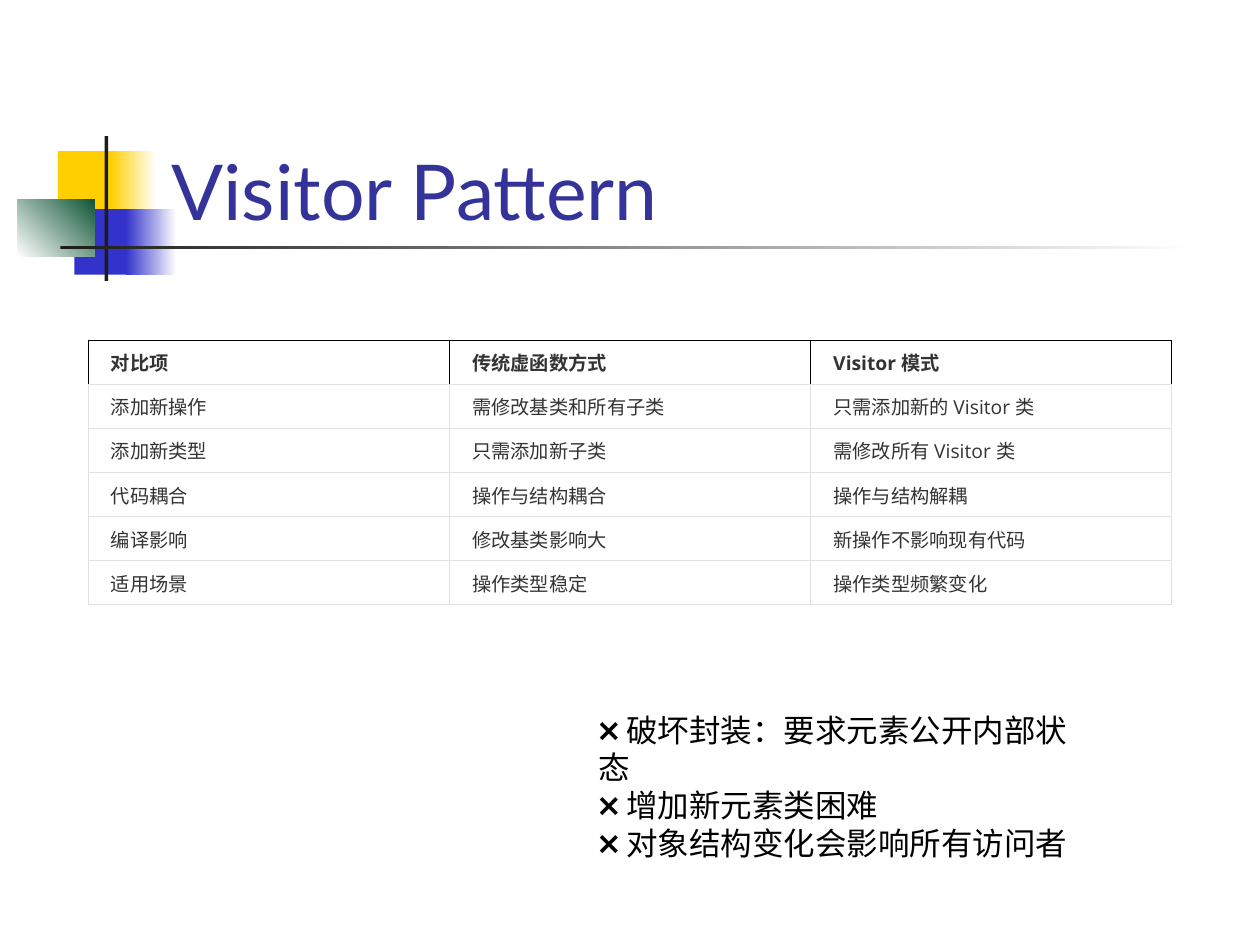
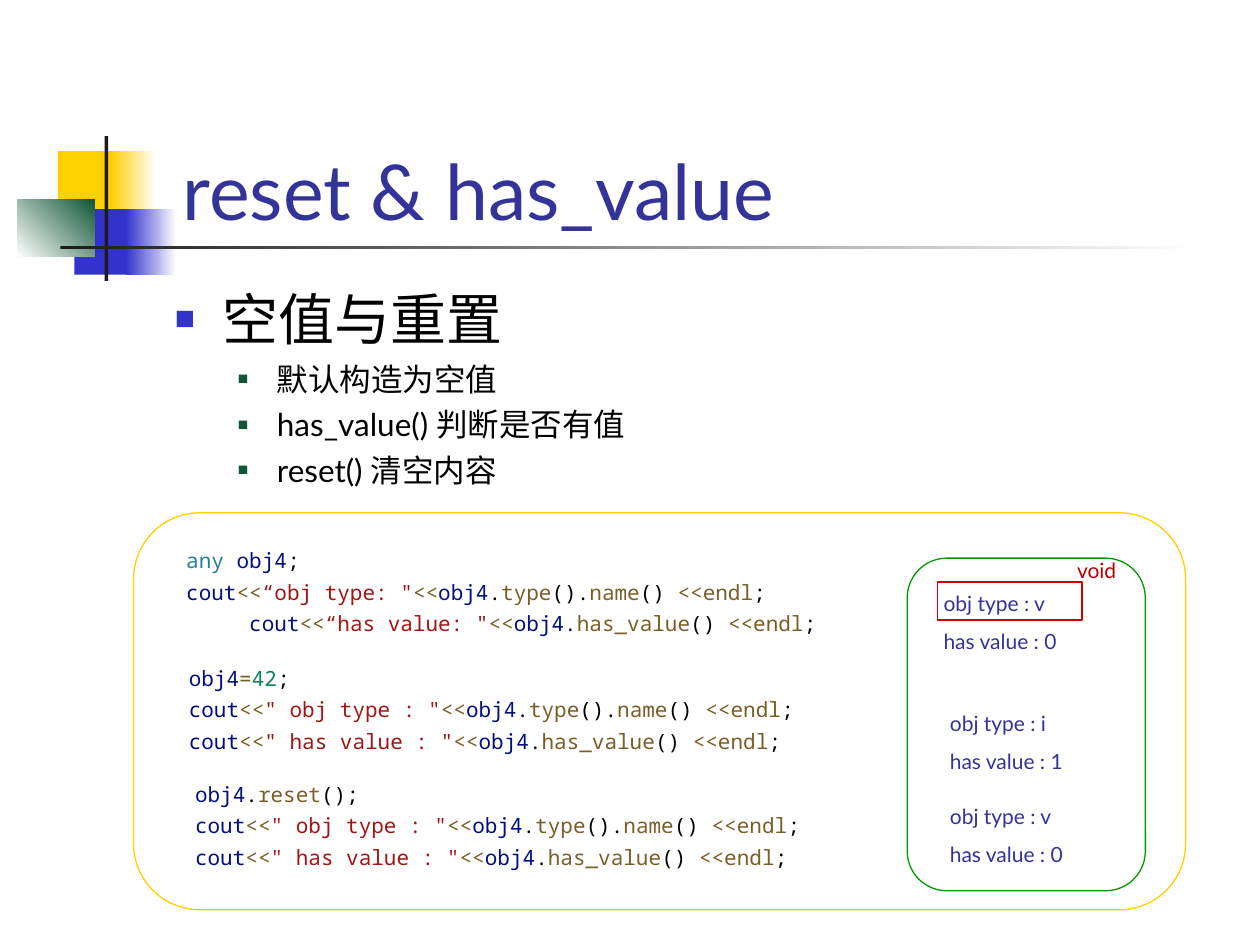
from lxml import etree
from pptx import Presentation
from pptx.dml.color import RGBColor
from pptx.enum.shapes import MSO_SHAPE as Kind
from pptx.enum.text import MSO_ANCHOR as Anchor, MSO_AUTO_SIZE as Fit, PP_ALIGN as Align
from pptx.oxml.ns import qn
from pptx.util import Inches, Pt

GOLD, BLUE, GREEN, DARK = "FFCF01", "3333CC", "105637", "1C1C1C"
WHITE, BLACK, INDIGO, GREY = "FFFFFF", "000000", "333399", "DFE2E5"
SANS, MONO = "Lato", "Noto Sans Mono"

DECOR = [
    ((0.46, 1.2, 0.48, 0.52), (GOLD,), 0),
    ((0.88, 1.2, 0.36, 0.52), (GOLD, WHITE), 0),
    ((0.59, 1.66, 0.46, 0.52), (BLUE,), 0),
    ((1, 1.66, 0.4, 0.52), (BLUE, WHITE), 0),
    ((0.14, 1.58, 0.61, 0.46), (WHITE, GREEN), 45),
    ((0.83, 1.08, 0.03, 1.15), (DARK,), 0),
    ((0.48, 1.95, 9, 0.03), (DARK, WHITE), 0),
]

INK = {"any ": "267F99", "42": "098658"}
INK.update(dict.fromkeys(["obj4", "cout"], "001080"))
INK.update(dict.fromkeys(
    ["<<", "<<endl", "=", "type", "name", "has_value", "reset"], "795E26"))

ROWS = [
    ("对比项", "传统虚函数方式", "Visitor 模式"),
    ("添加新操作", "需修改基类和所有子类", "只需添加新的 Visitor 类"),
    ("添加新类型", "只需添加新子类", "需修改所有 Visitor 类"),
    ("代码耦合", "操作与结构耦合", "操作与结构解耦"),
    ("编译影响", "修改基类影响大", "新操作不影响现有代码"),
    ("适用场景", "操作类型稳定", "操作类型频繁变化"),
]

FLAWS = ["❌ 破坏封装：要求元素公开内部状态", "❌ 增加新元素类困难", "❌ 对象结构变化会影响所有访问者"]

POINTS = [
    ("空值与重置", 0),
    ("默认构造为空值", 1),
    ("has_value() 判断是否有值", 1),
    ("reset() 清空内容", 1),
]
LEVELS = [(32, 0.38, 0.38, 8, BLUE, 60), (18, 0.81, 0.31, 4.5, GREEN, 55)]

TYPE = "cout|<<|{}|<<|obj4|.|type|().|name|() |<<endl|;"
HAS = "cout|<<|{}|<<|obj4|.|has_value|() |<<endl|;"
LATER = [TYPE.format('" obj type : "'), HAS.format('" has value : "')]
CODE = [
    ((1.38, 4.25, 5.53, 0.85), 0.5,
     ["any |obj4|;", TYPE.format('“obj type: "'), HAS.format('“has value: "')]),
    ((1.4, 5.18, 5.58, 0.85), 0, ["obj4|=|42|;", *LATER]),
    ((1.45, 6.1, 5.53, 0.85), 0, ["obj4|.|reset|();", *LATER]),
]
PRINTS = [(7.39, 4.54, "v", 0), (7.44, 5.49, "i", 1), (7.44, 6.23, "v", 0)]


def tint(code):
    return RGBColor.from_string(code)


def place(box):
    return [Inches(n) for n in box]


def ink(code):
    return "A31515" if '"' in code else INK.get(code, BLACK)


class Deck:
    def __init__(self):
        self.file = Presentation()
        self.file.slide_width, self.file.slide_height = Inches(10), Inches(7.5)
        self.shapes = None

    def page(self, text, left):
        self.shapes = self.file.slides.add_slide(self.file.slide_layouts[5]).shapes
        for box, hues, angle in DECOR:
            self.band(box, hues, angle)
        title = self.shapes.title
        title.left, title.top, title.width, title.height = place((left, 0.67, 8.52, 1.25))
        frame = title.text_frame
        frame.text = text
        frame.auto_size, frame.vertical_anchor = Fit.NONE, Anchor.BOTTOM
        frame.paragraphs[0].alignment = Align.LEFT
        self.style(frame.paragraphs[0], 44, SANS, INDIGO)
        self.shapes.element.append(title.element)

    def style(self, para, size, face, hue, bold=False):
        for run in para.runs:
            font = run.font
            font.size, font.name, font.bold = Pt(size), face, bold
            font.color.rgb = tint(hue)

    def band(self, box, hues, angle):
        shape = self.shapes.add_shape(Kind.RECTANGLE, *place(box))
        shape.shadow.inherit = False
        shape.line.fill.background()
        if len(hues) == 1:
            shape.fill.solid()
            shape.fill.fore_color.rgb = tint(hues[0])
            return
        shape.fill.gradient()
        shape.fill.gradient_angle = angle
        for stop, hue in zip(shape.fill.gradient_stops, hues):
            stop.color.rgb = tint(hue)

    def frame(self, kind, box, hue, width=0.75):
        shape = self.shapes.add_shape(kind, *place(box))
        shape.shadow.inherit = False
        shape.fill.background()
        shape.line.color.rgb = tint(hue)
        shape.line.width = Pt(width)

    def text(self, box, lines, size, face, hue, space=1.0, wrap=True):
        frame = self.shapes.add_textbox(*place(box)).text_frame
        frame.word_wrap = wrap
        frame.text = "\n".join(lines)
        for para in frame.paragraphs:
            para.line_spacing = space
            self.style(para, size, face, hue)
        return frame

    def indent(self, para, left, hang=0):
        props = para._p.get_or_add_pPr()
        props.set("marL", str(Inches(left)))
        props.set("indent", str(-Inches(hang)))
        return props

    def points(self, box, items):
        frame = self.text(box, [text for text, _ in items], 18, SANS, BLACK)
        for spot, (para, (_, level)) in enumerate(zip(frame.paragraphs, items)):
            size, left, hang, gap, hue, scale = LEVELS[level]
            para.level = level
            para.space_before = Pt(gap if spot else 0)
            props = self.indent(para, left, hang)
            color = etree.SubElement(props, qn("a:buClr"))
            etree.SubElement(color, qn("a:srgbClr"), val=hue)
            etree.SubElement(props, qn("a:buSzPct"), val=str(scale * 1000))
            etree.SubElement(props, qn("a:buFont"), typeface="Arial")
            etree.SubElement(props, qn("a:buChar"), char="■")
            self.style(para, size, SANS, BLACK)

    def code(self, box, lines, last):
        frame = self.text(box, [""] * len(lines), 12, MONO, BLACK, Pt(18))
        for para, line in zip(frame.paragraphs, lines):
            for part in line.split("|"):
                run = para.add_run()
                run.text = part
            self.style(para, 12, MONO, BLACK)
            for run in para.runs:
                run.font.color.rgb = tint(ink(run.text))
        if last:
            self.indent(frame.paragraphs[-1], last)

    def edges(self, cell, head):
        props = cell._tc.get_or_add_tcPr()
        for spot, side in enumerate(["lnL", "lnR", "lnT", "lnB"]):
            line = etree.Element(qn("a:" + side), w=str(Pt(0.45)))
            fill = etree.SubElement(line, qn("a:solidFill"))
            hue = BLACK if head and side != "lnB" else GREY
            etree.SubElement(fill, qn("a:srgbClr"), val=hue)
            props.insert(spot, line)

    def table(self, box, rows):
        table = self.shapes.add_table(len(rows), len(rows[0]), *place(box)).table
        table.first_row = table.horz_banding = False
        for r, row in enumerate(rows):
            for c, text in enumerate(row):
                cell = table.cell(r, c)
                cell.text = text
                cell.vertical_anchor = Anchor.MIDDLE
                cell.margin_left = cell.margin_right = Inches(0.18)
                cell.margin_top = cell.margin_bottom = Inches(0.05)
                cell.fill.background()
                self.edges(cell, r == 0)
                self.style(cell.text_frame.paragraphs[0], 11, "Open Sans", "333333", r == 0)


def main():
    deck = Deck()

    deck.page("Visitor Pattern", 1.26)
    deck.table((0.7, 2.7, 8.6, 2.1), ROWS)
    deck.text((4.65, 5.59, 4.17, 1), FLAWS, 18, "Arial", BLACK, wrap=False)

    deck.page("reset & has_value", 1.35)
    deck.points((1.29, 2.21, 8.5, 4.5), POINTS)
    deck.frame(Kind.ROUNDED_RECTANGLE, (1.06, 4.07, 8.35, 3.15), GOLD)
    deck.frame(Kind.ROUNDED_RECTANGLE, (7.2, 4.43, 1.89, 2.64), "009900")
    for left, top, kind, has in PRINTS:
        lines = [f"obj type : {kind}", f"has value : {has}"]
        deck.text((left, top, 1.51, 0.7), lines, 12, SANS, INDIGO, 1.5)
    for box, last, lines in CODE:
        deck.code(box, lines, last)
    deck.frame(Kind.RECTANGLE, (7.44, 4.62, 1.15, 0.3), "CC0000", 1)
    deck.text((8.45, 4.4, 0.53, 0.28), ["void"], 12, SANS, "C00000", 0.9, False)

    deck.file.save("out.pptx")


if __name__ == "__main__":
    main()
